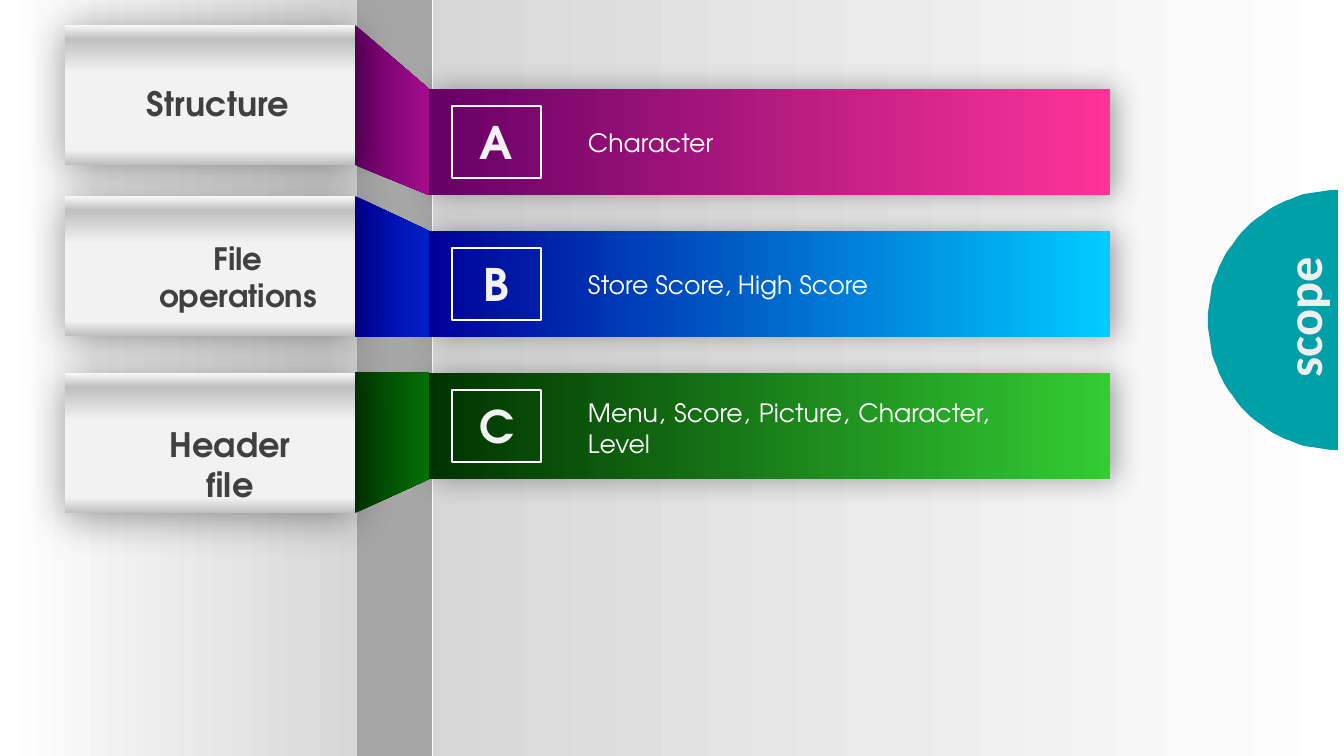
"""Build the scope slide: three labelled tabs folding into coloured bars."""
from math import cos, radians, sin

from lxml.etree import SubElement
from pptx import Presentation
from pptx.dml.color import RGBColor
from pptx.enum.shapes import MSO_SHAPE
from pptx.enum.text import MSO_ANCHOR, MSO_AUTO_SIZE, PP_ALIGN
from pptx.oxml.ns import qn
from pptx.util import Pt

PX = 9071
RECTANGLE = MSO_SHAPE.RECTANGLE
RIGHT, LEFT, DOWN = 0, 180, 270
FONT = "TeX Gyre Adventor"
TAB_STOPS = [(0, "FAFAFA"), (10, "BFBFBF"), (34, "F2F2F2"), (89, "F2F2F2"), (100, "BFBFBF")]
BAR_LEFT, BAR_TOP, BAR_HEIGHT, BAR_PITCH = 429, 89, 106, 142
TAB_LEFT, TAB_WIDTH, TAB_HEIGHT = 65, 290, 140
TAB_RIGHT = TAB_LEFT + TAB_WIDTH


def paint(shape, stops, angle=RIGHT, shadow=None):
    """Fill a shape with one colour or a gradient, with an optional outer shadow."""
    shape.line.fill.background()
    shape.shadow.inherit = False
    properties = shape._element.spPr
    if len(stops) == 1:
        shape.fill.solid()
        shape.fill.fore_color.rgb = RGBColor.from_string(stops[0][1])
    else:
        shape.fill.gradient()
        shape.fill.gradient_angle = angle
        stop_list = properties.find(".//" + qn("a:gsLst"))
        stop_list.clear()
        for position, color in stops:
            stop = SubElement(stop_list, qn("a:gs"), pos=str(position * 1000))
            SubElement(stop, qn("a:srgbClr"), val=color)
    if shadow:
        color, blur, direction = shadow
        outer = SubElement(properties.find(qn("a:effectLst")), qn("a:outerShdw"),
                           blurRad=str(Pt(blur)), dist=str(Pt(3)),
                           dir=str(direction * 60000), algn="ctr", rotWithShape="0")
        shadow_color = SubElement(outer, qn("a:srgbClr"), val=color)
        SubElement(shadow_color, qn("a:alpha"), val="40000")


def write(shape, text, size, color, bold=True, align=PP_ALIGN.CENTER, font=FONT):
    """Set the text of a shape and format it."""
    frame = shape.text_frame
    frame.text = text
    frame.word_wrap = True
    frame.auto_size = MSO_AUTO_SIZE.NONE
    frame.vertical_anchor = MSO_ANCHOR.MIDDLE
    paragraph = frame.paragraphs[0]
    paragraph.alignment = align
    run_font = paragraph.runs[0].font
    run_font.name = font
    run_font.size = Pt(size)
    run_font.bold = bold
    run_font.color.rgb = RGBColor.from_string(color)


presentation = Presentation()
presentation.slide_width = 1344 * PX
presentation.slide_height = 756 * PX
slide = presentation.slides.add_slide(presentation.slide_layouts[5])
shapes = slide.shapes

panels = [
    (433, 911, [(0, "FFFFFF"), (100, "D7D7D7")]),
    (357, 75, [(0, "A6A6A6")]),
    (0, 357, [(0, "D7D7D7"), (100, "FFFFFF")]),
]
for left, width, stops in panels:
    panel = shapes.add_shape(RECTANGLE, left * PX, 0, width * PX, 756 * PX)
    paint(panel, stops, LEFT)

bars = [
    ("A", "Character", 122, 40, "660066", "FF3399"),
    ("B", "Store Score, High Score", 264, 40, "000099", "00CCFF"),
    ("C", "Menu, Score, Picture, Character, Level", 392, 72, "003300", "33CC33"),
]
for index, (letter, detail, detail_top, detail_height, start, end) in enumerate(bars):
    top = BAR_TOP + index * BAR_PITCH
    bar = shapes.add_shape(RECTANGLE, BAR_LEFT * PX, top * PX, 681 * PX, BAR_HEIGHT * PX)
    paint(bar, [(0, start), (100, end)], RIGHT, ("262626", 20, 0))

    letter_box = shapes.add_shape(RECTANGLE, 452 * PX, (top + 17) * PX, 89 * PX, 72 * PX)
    letter_box.shadow.inherit = False
    letter_box.fill.background()
    letter_box.line.color.rgb = RGBColor.from_string("FFFFFF")
    letter_box.line.width = Pt(1)
    write(letter_box, letter, 32, "F2F2F2")

    detail_box = shapes.add_textbox(578 * PX, detail_top * PX, 421 * PX, detail_height * PX)
    write(detail_box, detail, 18, "FFFFFF", False, PP_ALIGN.JUSTIFY)

tabs = [
    (25, 25, 165, "660066", "A40C8B", "Structure", 24, (134, 78, 168, 50)),
    (196, 196, 337, "000099", "0021C8", "File operations", 22, (144, 234, 188, 85)),
    (373, 372, 513, "023802", "047004", "Header file", 24, (147, 418, 166, 92)),
]
for index, (top, fold_top, fold_bottom, start, end, label, size, box) in enumerate(tabs):
    bar_top = BAR_TOP + index * BAR_PITCH
    builder = shapes.build_freeform(TAB_RIGHT, fold_top, scale=PX)
    builder.add_line_segments([
        (BAR_LEFT, min(bar_top, max(fold_top, bar_top))),
        (BAR_LEFT, bar_top + BAR_HEIGHT),
        (TAB_RIGHT, fold_bottom),
    ])
    paint(builder.convert_to_shape(), [(0, start), (100, end)])

    tab = shapes.add_shape(RECTANGLE, TAB_LEFT * PX, top * PX, TAB_WIDTH * PX, TAB_HEIGHT * PX)
    paint(tab, TAB_STOPS, DOWN, ("000000", 30, 90))

    label_box = shapes.add_textbox(*[length * PX for length in box])
    write(label_box, label, size, "404040")

center_x, center_y, radius = 1338, 320, 130
builder = shapes.build_freeform(center_x, center_y - radius, scale=PX)
builder.add_line_segments([
    (center_x - radius * sin(radians(angle)), center_y - radius * cos(radians(angle)))
    for angle in range(3, 181, 3)
])
paint(builder.convert_to_shape(), [(0, "00A0A8")])

title = shapes.title
title.left, title.top, title.width, title.height = 1192 * PX, 281 * PX, 220 * PX, 72 * PX
title.rotation = 270
write(title, "scope", 36, "F0EEF0", font="Calibri")
shapes._spTree.append(title._element)

presentation.save("out.pptx")
